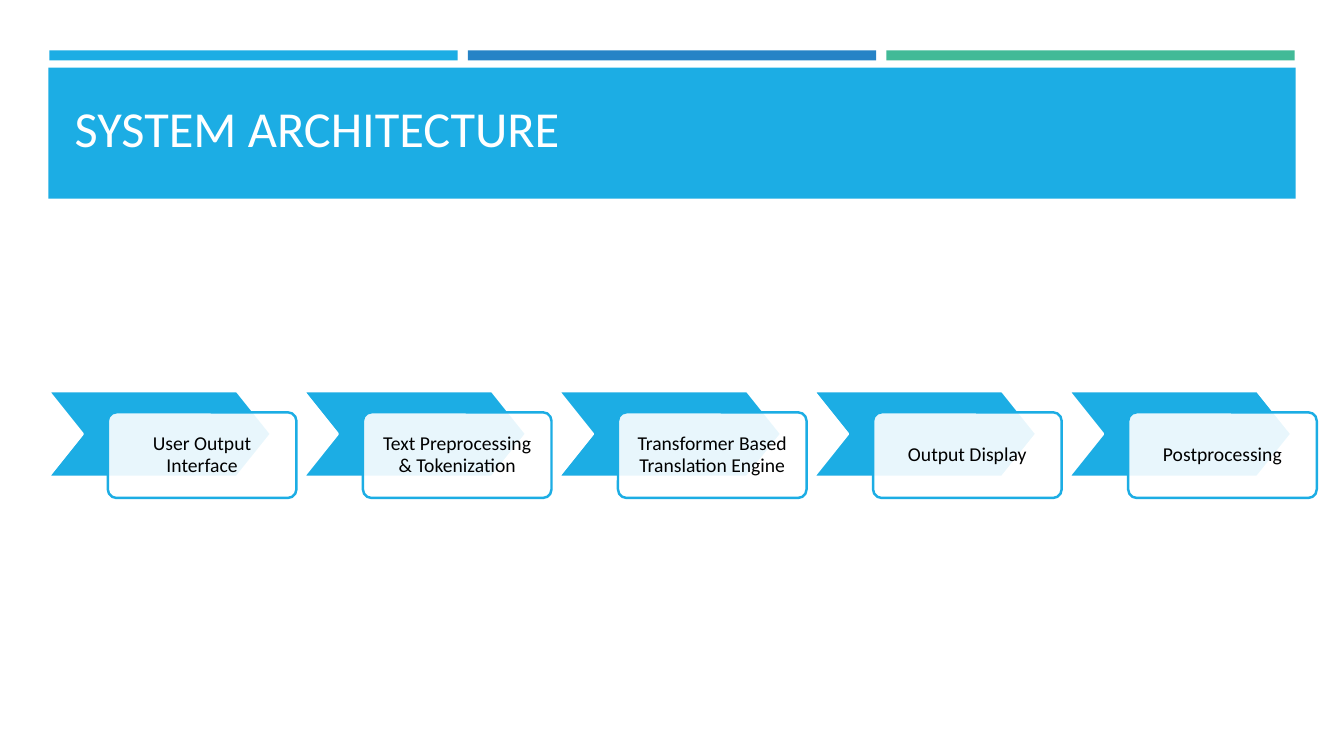
import pptx
import pptx.dml.color
import pptx.enum.shapes
import pptx.enum.text
import pptx.oxml.ns
import pptx.util
from lxml import etree

Inches = pptx.util.Inches
Pt = pptx.util.Pt
SHAPE = pptx.enum.shapes.MSO_SHAPE
ALIGN = pptx.enum.text.PP_ALIGN
ANCHOR = pptx.enum.text.MSO_ANCHOR

BLUE, DARK_BLUE, GREEN = "1CADE4", "2683C6", "42BA97"
WHITE, BLACK = "FFFFFF", "000000"
STEPS = [
    "User Output Interface",
    "Text Preprocessing & Tokenization",
    "Transformer Based Translation Engine",
    "Output Display",
    "Postprocessing",
]
STEP_LEFT, STEP_PITCH = 0.48, 2.53


def rgb(color):
    """Return the colour for a hex string."""
    return pptx.dml.color.RGBColor.from_string(color)


def add_shape(s, kind, box, fill, line=None, adj=None):
    """Add a flat preset shape with an optional outline and adjustment."""
    sp = s.shapes.add_shape(kind, *map(Inches, box))
    sp.shadow.inherit = False
    sp.fill.solid()
    sp.fill.fore_color.rgb = rgb(fill)
    if line:
        sp.line.color.rgb = rgb(line)
        sp.line.width = Pt(1.75)
    else:
        sp.line.fill.background()
    if adj is not None:
        sp.adjustments[0] = adj
    return sp


def set_opacity(sp, percent):
    """Make the solid fill of a shape partly transparent."""
    clr = sp.element.spPr.find(pptx.oxml.ns.qn("a:solidFill"))[0]
    etree.SubElement(clr, pptx.oxml.ns.qn("a:alpha"), val=str(percent * 1000))


def set_text(sp, text, size, color, align, anchor):
    """Write one formatted paragraph into a shape."""
    tf = sp.text_frame
    tf.text = text
    tf.word_wrap = True
    tf.vertical_anchor = anchor
    p = tf.paragraphs[0]
    p.alignment = align
    p.line_spacing = 0.9
    r = p.runs[0]
    r.font.size = Pt(size)
    r.font.name = "Calibri"
    r.font.color.rgb = rgb(color)


def add_header(s, text):
    """Add the three accent bars and the title on its banner."""
    for i, color in enumerate([BLUE, DARK_BLUE, GREEN]):
        add_shape(s, SHAPE.RECTANGLE, (0.49 + 4.15 * i, 0.5, 4.05, 0.1), color)
    banner = add_shape(s, SHAPE.RECTANGLE, (0.48, 0.67, 12.37, 1.3), BLUE)
    title = s.shapes.title
    title.left, title.top = Inches(0.64), Inches(0.51)
    title.width, title.height = Inches(12.06), Inches(1.11)
    set_text(title, text, 36, WHITE, ALIGN.LEFT, ANCHOR.BOTTOM)
    title.element.addprevious(banner.element)


def add_step(s, left, text):
    """Add one process step: a chevron with a label card over it."""
    add_shape(s, SHAPE.CHEVRON, (left, 3.88, 2.21, 0.85), BLUE, WHITE, 0.4)
    card = add_shape(s, SHAPE.ROUNDED_RECTANGLE,
                     (left + 0.59, 4.09, 1.87, 0.85), WHITE, BLUE, 0.1)
    set_opacity(card, 90)
    set_text(card, text, 14, BLACK, ALIGN.CENTER, ANCHOR.MIDDLE)
    tf = card.text_frame
    tf.margin_left = tf.margin_right = Inches(0.11)
    tf.margin_top = tf.margin_bottom = Inches(0.11)


def main():
    """Build the slide and save it."""
    prs = pptx.Presentation()
    prs.slide_width, prs.slide_height = Inches(13.33), Inches(7.5)
    s = prs.slides.add_slide(prs.slide_layouts[5])
    add_header(s, "SYSTEM ARCHITECTURE")
    for i, text in enumerate(STEPS):
        add_step(s, STEP_LEFT + STEP_PITCH * i, text)
    prs.save("out.pptx")


if __name__ == "__main__":
    main()
